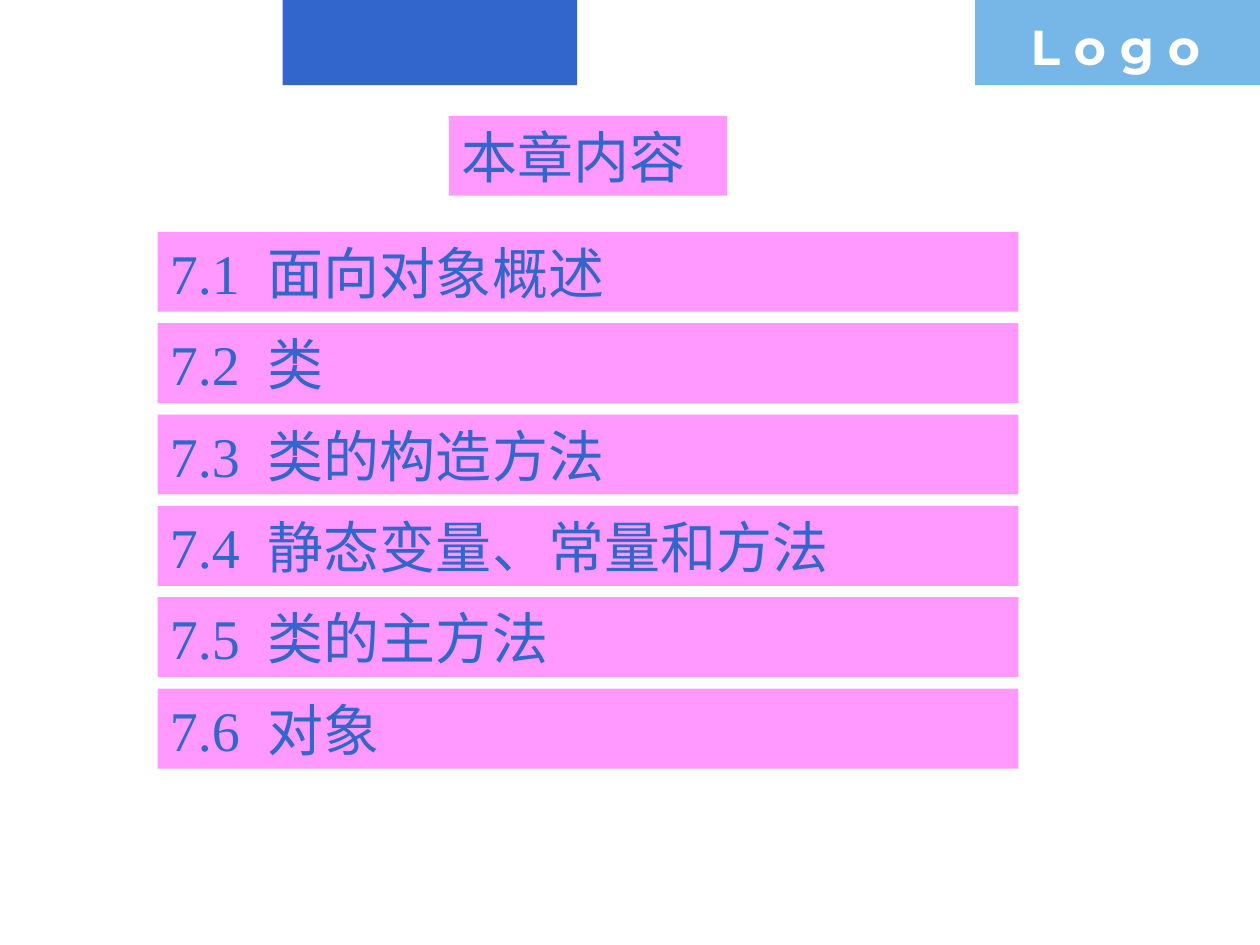
from pptx import Presentation
from pptx.dml.color import RGBColor
from pptx.enum.shapes import MSO_SHAPE
from pptx.enum.text import MSO_ANCHOR, MSO_AUTO_SIZE, PP_ALIGN
from pptx.oxml.ns import qn
from pptx.util import Pt
from lxml.etree import SubElement

BLUE = RGBColor(0x33, 0x66, 0xCC)
LIGHT_BLUE = RGBColor(0x77, 0xB7, 0xE7)
PINK = RGBColor(0xFF, 0x99, 0xFF)
WHITE = RGBColor(0xFF, 0xFF, 0xFF)

SECTIONS = [
    "7.1\t面向对象概述",
    "7.2\t类",
    "7.3\t类的构造方法",
    "7.4\t静态变量、常量和方法",
    "7.5\t类的主方法",
    "7.6\t对象",
]
SECTION_TOP = 132.5
SECTION_PITCH = 52.2
BAR_HEIGHT = 45.7
NAME_TAB = 56


def fill_solid(shape, color):
    shape.fill.solid()
    shape.fill.fore_color.rgb = color
    shape.line.fill.background()


def add_rectangle(slide, left, top, width, height, color):
    shape = slide.shapes.add_shape(
        MSO_SHAPE.RECTANGLE, Pt(left), Pt(top), Pt(width), Pt(height))
    shape.shadow.inherit = False
    fill_solid(shape, color)
    return shape


def add_tab_stop(paragraph, position):
    tab_list = SubElement(paragraph._p.get_or_add_pPr(), qn("a:tabLst"))
    SubElement(tab_list, qn("a:tab"), pos=str(Pt(position)), algn="l")


def write_text(shape, text, size, font_name, color, bold=False, tab=None):
    frame = shape.text_frame
    frame.text = text
    frame.word_wrap = True
    frame.auto_size = MSO_AUTO_SIZE.NONE
    paragraph = frame.paragraphs[0]
    paragraph.alignment = PP_ALIGN.LEFT
    if tab:
        add_tab_stop(paragraph, tab)
    for run in paragraph.runs:
        run.font.size = Pt(size)
        run.font.name = font_name
        run.font.bold = bold
        run.font.color.rgb = color


def write_bar(shape, text, tab=None):
    write_text(shape, text, 32, "Times New Roman", BLUE, tab=tab)
    shape.text_frame.vertical_anchor = MSO_ANCHOR.BOTTOM


def add_header(slide):
    add_rectangle(slide, 161.5, 0, 168.3, 48.7, BLUE)
    add_rectangle(slide, 557.2, 0, 162.8, 48.7, LIGHT_BLUE)
    label = slide.shapes.add_textbox(Pt(581.8), Pt(5.8), Pt(138.2), Pt(41))
    write_text(label, "L o g o", 28, "Montserrat", WHITE, bold=True)


def set_title(slide, text):
    title = slide.shapes.title
    title.left, title.top = Pt(256.5), Pt(66.2)
    title.width, title.height = Pt(159), Pt(BAR_HEIGHT)
    fill_solid(title, PINK)
    write_bar(title, text)


def add_sections(slide):
    for index, text in enumerate(SECTIONS):
        top = SECTION_TOP + index * SECTION_PITCH
        bar = add_rectangle(slide, 90, top, 492, BAR_HEIGHT, PINK)
        write_bar(bar, text, NAME_TAB)


def main():
    presentation = Presentation()
    presentation.slide_width = Pt(720)
    presentation.slide_height = Pt(540)
    slide = presentation.slides.add_slide(presentation.slide_layouts[5])
    add_header(slide)
    set_title(slide, "本章内容")
    add_sections(slide)
    presentation.save("out.pptx")


if __name__ == "__main__":
    main()
